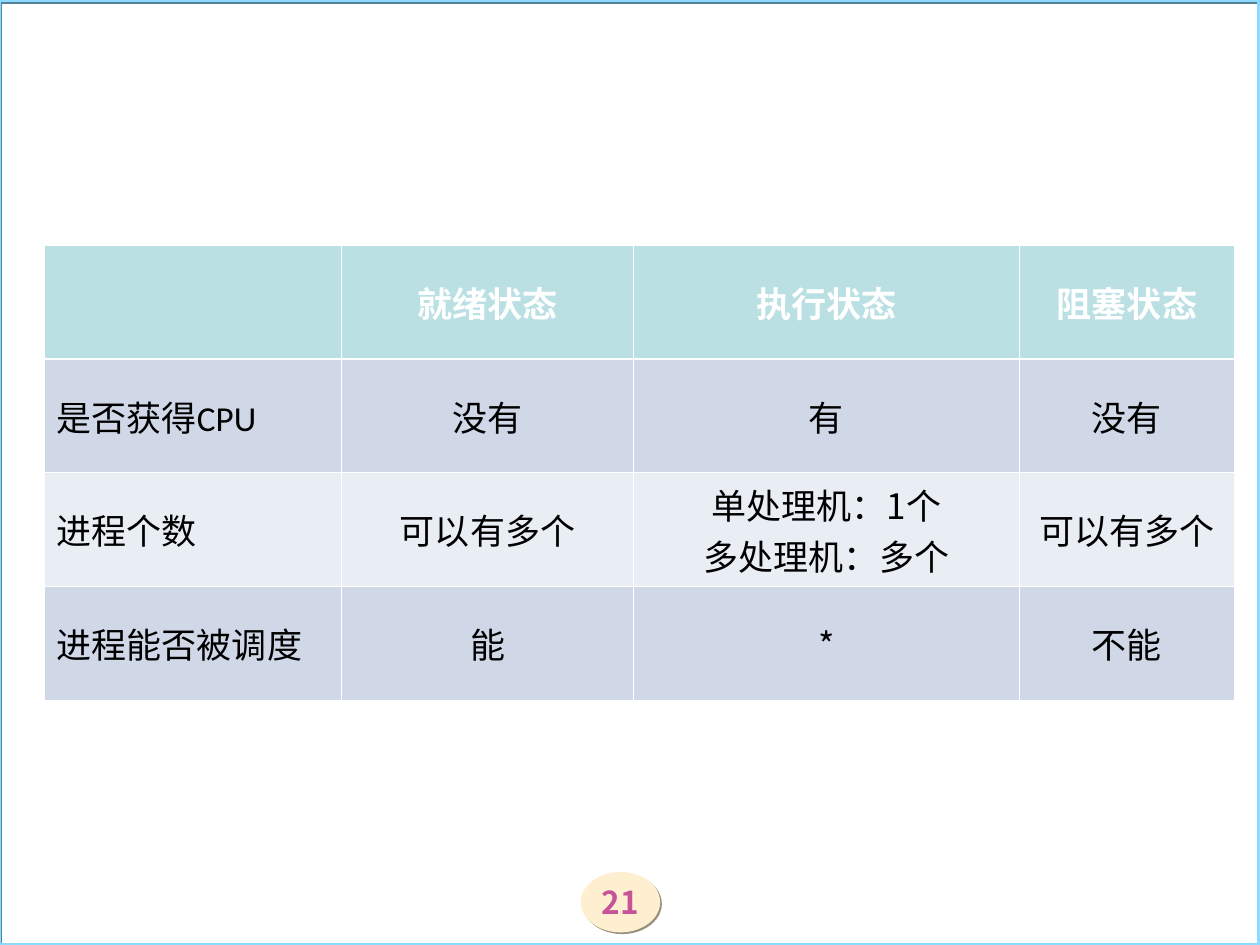
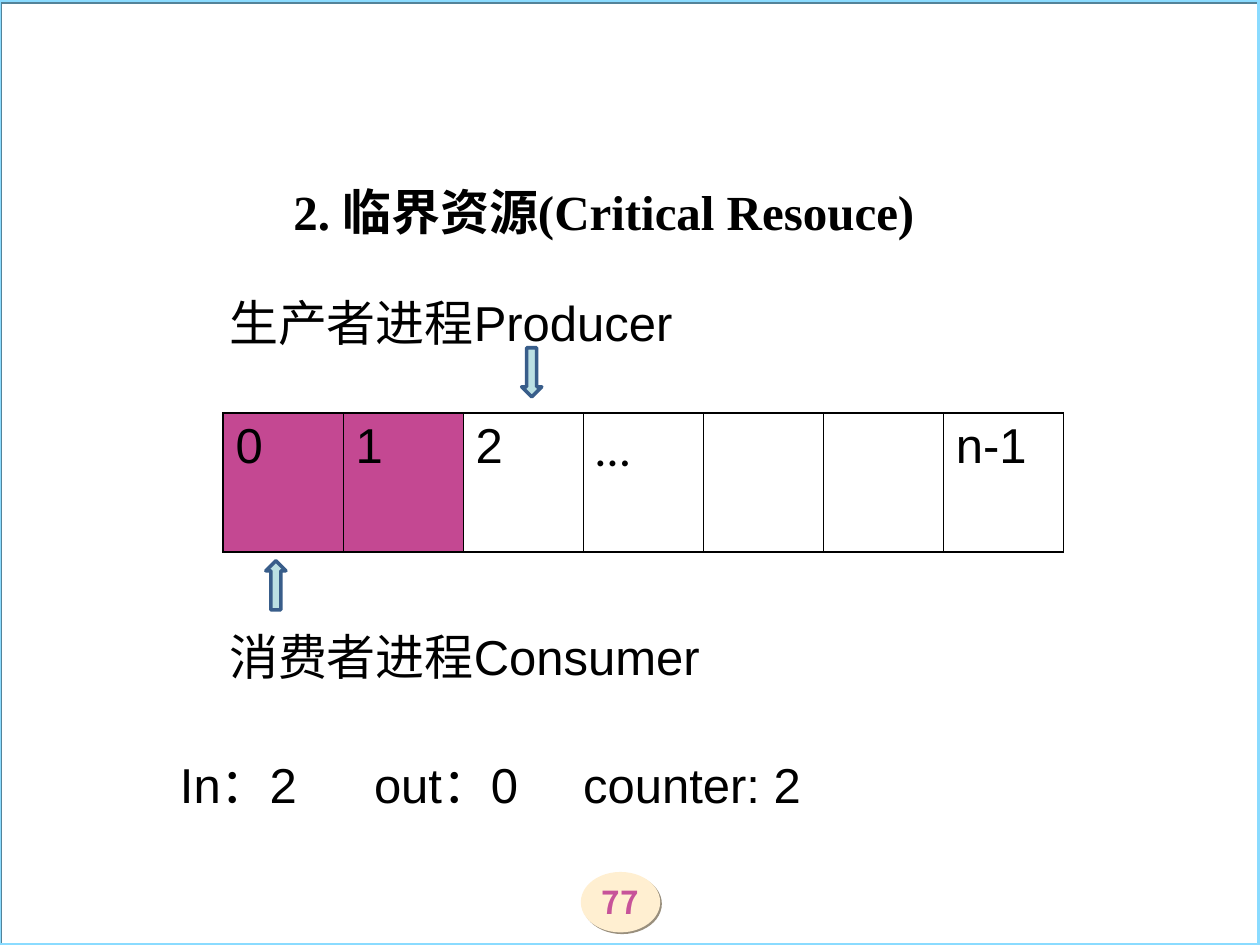
import pptx
import pptx.util
import pptx.dml.color
import pptx.enum.shapes
import pptx.enum.text
import pptx.oxml
import pptx.oxml.ns

Inches = pptx.util.Inches
Pt = pptx.util.Pt
SHAPE = pptx.enum.shapes.MSO_SHAPE
ALIGN = pptx.enum.text.PP_ALIGN
ANCHOR = pptx.enum.text.MSO_ANCHOR
NS = pptx.oxml.ns.nsdecls("a")

CJK = "Noto Sans CJK SC"
WHITE, BLACK = "FFFFFF", "000000"
TEAL, MAGENTA = "BBE0E3", "C44892"
ROW_FILLS = [TEAL, "D0D8E8", "E9EDF4", "D0D8E8"]
THIN = 0.45

STATES_AT = (0.35, 1.95)
STATES_COLS = [2.36, 2.32, 3.06, 1.71]
STATES_ROW = 0.9
STATES = [
    ["", "就绪状态", "执行状态", "阻塞状态"],
    ["是否获得CPU", "没有", "有", "没有"],
    ["进程个数", "可以有多个", "单处理机：1个\n多处理机：多个", "可以有多个"],
    ["进程能否被调度", "能", "*", "不能"],
]
CJK_CELLS = [(2, 2), (3, 2)]

BUFFER_AT = (1.77, 3.28)
BUFFER_SLOT, BUFFER_HEIGHT = 0.953, 1.1
BUFFER = ["0", "1", "2", "…", "", "", "n-1"]
FULL_SLOTS = 2

TITLE = ("2. 临界资源(Critical Resouce)", (2.23, 1.39, 5.41, 0.57))
LABELS = [
    ("生产者进程Producer", (1.72, 2.27, 4.48, 0.57)),
    ("消费者进程Consumer", (1.72, 4.92, 5.18, 0.57)),
    ("In：2\tout：0\tcounter: 2", (1.33, 5.94, 5.31, 0.57)),
]
COUNTER_TABS = [1.54, 3.2]
ARROWS = [(SHAPE.DOWN_ARROW, 4.14, 2.76), (SHAPE.UP_ARROW, 2.11, 4.45)]


def rgb(color):
    return pptx.dml.color.RGBColor.from_string(color)


def box(at):
    return [Inches(v) for v in at]


def style(tf, size, font, color, bold=False, align=ALIGN.LEFT):
    for p in tf.paragraphs:
        p.alignment = align
        for r in p.runs:
            r.font.size = Pt(size)
            r.font.name = font
            r.font.bold = bold
            r.font.color.rgb = rgb(color)
            r.font._element.find(pptx.oxml.ns.qn("a:latin")).addnext(
                pptx.oxml.parse_xml(f'<a:ea {NS} typeface="{CJK}"/>'))


def add_shape(slide, kind, at, fill=None, line=None, width=1, shadow=None):
    sp = slide.shapes.add_shape(kind, *box(at))
    sp.shadow.inherit = False
    if fill:
        sp.fill.solid()
        sp.fill.fore_color.rgb = rgb(fill)
    else:
        sp.fill.background()
    if line:
        sp.line.color.rgb = rgb(line)
        sp.line.width = Pt(width)
    else:
        sp.line.fill.background()
    if shadow:
        effects = sp._element.spPr.find(pptx.oxml.ns.qn("a:effectLst"))
        effects.append(pptx.oxml.parse_xml(
            f'<a:outerShdw {NS} blurRad="0" dist="{Pt(1.4)}" dir="2700000" '
            f'algn="ctr" rotWithShape="0"><a:srgbClr val="{shadow}"/></a:outerShdw>'))
    return sp


def add_text(slide, text, at, font, bold=False, wrap=True):
    tf = slide.shapes.add_textbox(*box(at)).text_frame
    tf.word_wrap = wrap
    tf.text = text
    style(tf, 28, font, BLACK, bold)
    return tf


def add_table(slide, at, cols, rows):
    size = (sum(cols), sum(rows))
    table = slide.shapes.add_table(len(rows), len(cols), *box(at + size)).table
    table.first_row = table.horz_banding = False
    for col, width in zip(table.columns, cols):
        col.width = Inches(width)
    for row, height in zip(table.rows, rows):
        row.height = Inches(height)
    return table


def fill_cell(cell, fill):
    if fill:
        cell.fill.solid()
        cell.fill.fore_color.rgb = rgb(fill)
    else:
        cell.fill.background()


def set_borders(cell, color, left, right, top, bottom):
    tc_pr = cell._tc.get_or_add_tcPr()
    for i, (side, width) in enumerate(zip("LRTB", (left, right, top, bottom))):
        tc_pr.insert(i, pptx.oxml.parse_xml(
            f'<a:ln{side} {NS} w="{Pt(width)}"><a:solidFill>'
            f'<a:srgbClr val="{color}"/></a:solidFill></a:ln{side}>'))


def new_slide(prs, number):
    slide = prs.slides.add_slide(prs.slide_layouts[6])
    slide.background.fill.solid()
    slide.background.fill.fore_color.rgb = rgb(WHITE)
    badge = add_shape(slide, SHAPE.OVAL, (4.61, 6.92, 0.63, 0.48),
                      "FFEFD1", shadow="998F7D")
    tf = badge.text_frame
    tf.margin_left = tf.margin_right = tf.margin_top = tf.margin_bottom = 0
    tf.vertical_anchor = ANCHOR.MIDDLE
    tf.text = number
    style(tf, 18, CJK, "C75399", True, ALIGN.CENTER)
    add_shape(slide, SHAPE.RECTANGLE, (-0.01, 0, 10, 7.5),
              line="8ADBFF", width=2.25, shadow="538399")
    return slide


def build_states(prs):
    slide = new_slide(prs, "21")
    table = add_table(slide, STATES_AT, STATES_COLS, [STATES_ROW] * len(STATES))
    for i, row in enumerate(STATES):
        for j, text in enumerate(row):
            cell = table.cell(i, j)
            cell.text_frame.text = text
            cell.vertical_anchor = ANCHOR.MIDDLE
            style(cell.text_frame, 20,
                  CJK if (i, j) in CJK_CELLS else "Calibri",
                  BLACK if i else WHITE, i == 0,
                  ALIGN.CENTER if j else ALIGN.LEFT)
            fill_cell(cell, ROW_FILLS[i])
            set_borders(cell, WHITE, THIN, THIN,
                        1.47 if i == 1 else THIN, 1.47 if i == 0 else THIN)


def build_buffer(prs):
    slide = new_slide(prs, "77")
    add_text(slide, *TITLE, "Times New Roman", bold=True, wrap=False)
    table = add_table(slide, BUFFER_AT, [BUFFER_SLOT] * len(BUFFER), [BUFFER_HEIGHT])
    edge, last = 1.08, len(BUFFER) - 1
    for j, text in enumerate(BUFFER):
        cell = table.cell(0, j)
        cell.text_frame.text = text
        style(cell.text_frame, 28, "Calibri" if text == "…" else "Arial", BLACK)
        fill_cell(cell, MAGENTA if j < FULL_SLOTS else None)
        set_borders(cell, BLACK, edge if j == 0 else THIN,
                    edge if j == last else THIN, edge, edge)
    for text, at in LABELS:
        tf = add_text(slide, text, at, "Arial")
        if "\t" in text:
            stops = "".join(f'<a:tab pos="{Inches(t)}" algn="l"/>' for t in COUNTER_TABS)
            tf.paragraphs[0]._p.get_or_add_pPr().append(
                pptx.oxml.parse_xml(f"<a:tabLst {NS}>{stops}</a:tabLst>"))
    for kind, left, top in ARROWS:
        add_shape(slide, kind, (left, top, 0.16, 0.39), TEAL, "385D8A", 2)


def main():
    prs = pptx.Presentation()
    prs.slide_width, prs.slide_height = Inches(10), Inches(7.5)
    build_states(prs)
    build_buffer(prs)
    prs.save("out.pptx")


if __name__ == "__main__":
    main()
